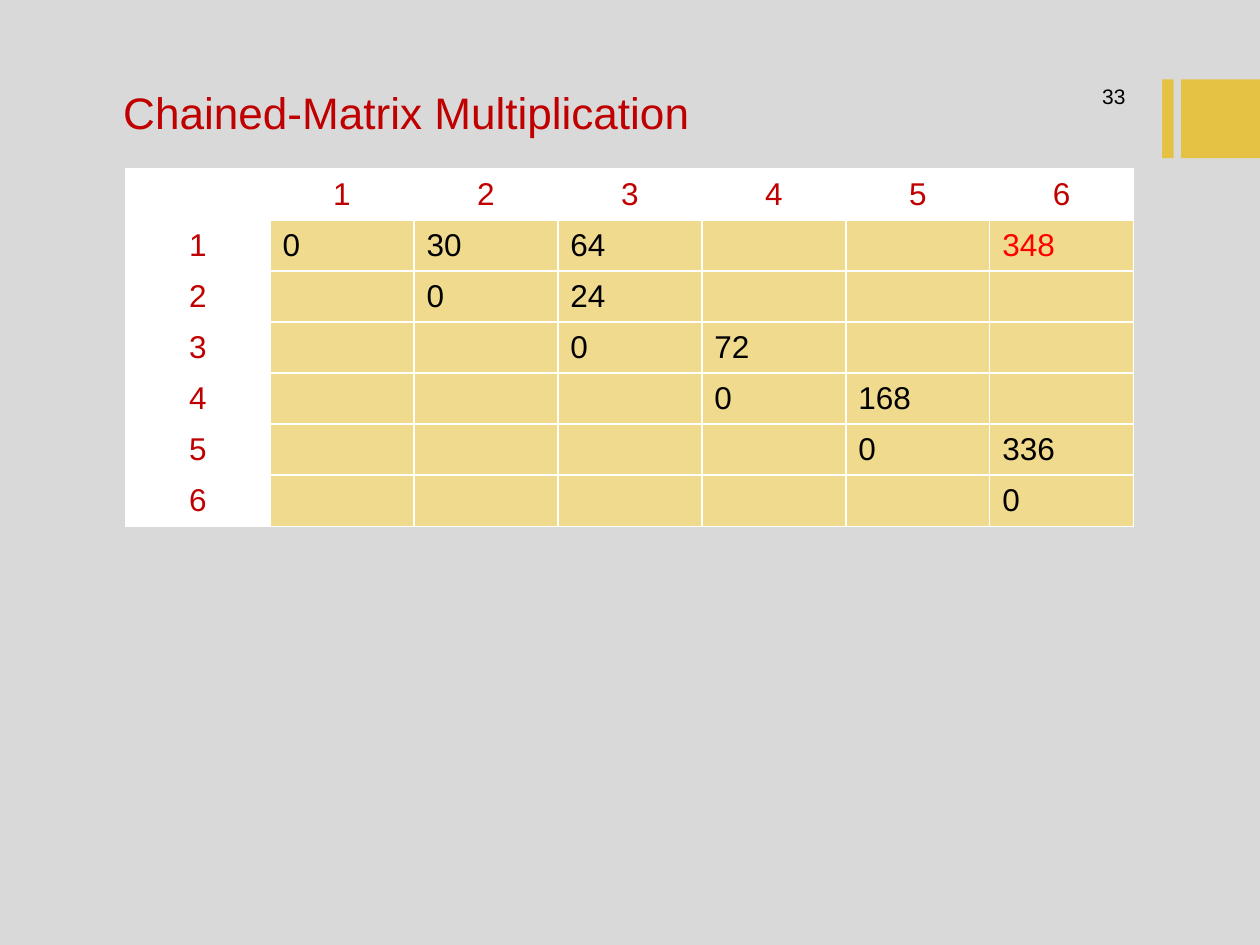
from lxml.etree import SubElement
from pptx import Presentation
from pptx.dml.color import RGBColor as RGB
from pptx.enum.shapes import MSO_SHAPE as SHAPE
from pptx.enum.text import MSO_ANCHOR as ANCHOR, MSO_AUTO_SIZE as AUTO, PP_ALIGN as ALIGN
from pptx.oxml.ns import qn
from pptx.util import Cm, Pt

COLORS = {
    "back": "D9D9D9", "accent": "E5C243", "cell": "EFDA8E", "white": "FFFFFF",
    "heading": "C00000", "text": "000000", "result": "FF0000",
}
FONT = "Arial"
SIZE = 6
# Minimum multiplication counts, keyed by (first matrix, last matrix)
COSTS = {(1, 2): 30, (1, 3): 64, (2, 3): 24, (3, 4): 72,
         (4, 5): 168, (5, 6): 336, (1, 6): 348}
COSTS.update({(i, i): 0 for i in range(1, SIZE + 1)})


class SlideBuilder:
    def __init__(self, prs):
        self.s = prs.slides.add_slide(prs.slide_layouts[5])
        self.fill(self.s.background, "back")

    def color(self, name):
        return RGB.from_string(COLORS[name])

    def fill(self, obj, name):
        obj.fill.solid()
        obj.fill.fore_color.rgb = self.color(name)

    def put_text(self, tf, text, size, color, align=ALIGN.LEFT):
        p = tf.paragraphs[0]
        p.alignment = align
        r = p.add_run()
        r.text = str(text)
        for key, value in {"name": FONT, "size": Pt(size), "bold": False}.items():
            setattr(r.font, key, value)
        r.font.color.rgb = self.color(color)

    def frame(self, tf, anchor):
        for key, value in {"word_wrap": True, "auto_size": AUTO.NONE,
                           "vertical_anchor": anchor}.items():
            setattr(tf, key, value)

    def title(self, text, x, y, w, h):
        sp = self.s.shapes.title
        sp.left, sp.top, sp.width, sp.height = Cm(x), Cm(y), Cm(w), Cm(h)
        self.frame(sp.text_frame, ANCHOR.BOTTOM)
        self.put_text(sp.text_frame, text, 25.2, "heading")

    def text(self, text, x, y, w, h, size, align):
        sp = self.s.shapes.add_textbox(Cm(x), Cm(y), Cm(w), Cm(h))
        self.frame(sp.text_frame, ANCHOR.MIDDLE)
        self.put_text(sp.text_frame, text, size, "text", align)

    def bar(self, x, y, w, h):
        sp = self.s.shapes.add_shape(SHAPE.RECTANGLE, Cm(x), Cm(y), Cm(w), Cm(h))
        sp.shadow.inherit = False
        self.fill(sp, "accent")
        sp.line.fill.background()

    def borders(self, cell):
        tcPr = cell._tc.get_or_add_tcPr()
        for i, side in enumerate(("lnL", "lnR", "lnT", "lnB")):
            ln = tcPr.makeelement(qn(f"a:{side}"), {"w": str(Pt(1))})
            fill = SubElement(ln, qn("a:solidFill"))
            SubElement(fill, qn("a:srgbClr"), val=COLORS["white"])
            tcPr.insert(i, ln)

    def cost_table(self, x, y, w, h):
        n = SIZE + 1
        table = self.s.shapes.add_table(n, n, Cm(x), Cm(y), Cm(w), Cm(h)).table
        for i in range(n):
            for j in range(n):
                cell = table.cell(i, j)
                header = i == 0 or j == 0
                self.fill(cell, "white" if header else "cell")
                self.borders(cell)
                cell.vertical_anchor = ANCHOR.MIDDLE
                if header and i + j:
                    self.put_text(cell.text_frame, i + j, 18, "heading", ALIGN.CENTER)
                elif (i, j) in COSTS:
                    color = "result" if (i, j) == (1, SIZE) else "text"
                    self.put_text(cell.text_frame, COSTS[i, j], 18, color)


def main():
    prs = Presentation()
    prs.slide_width, prs.slide_height = Cm(25.4), Cm(19.05)
    b = SlideBuilder(prs)

    # Accent bars at the right edge
    b.bar(23.43, 1.6, 0.23, 1.59)
    b.bar(23.81, 1.6, 1.59, 1.59)

    # Title and page number
    b.title("Chained-Matrix Multiplication", 2.23, 1.52, 20.32, 1.4)
    b.text("33", 20.32, 1.52, 2.62, 0.85, 12, ALIGN.RIGHT)

    # Cost table
    b.cost_table(2.54, 3.4, 20.32, 7.21)

    prs.save("out.pptx")


if __name__ == "__main__":
    main()
